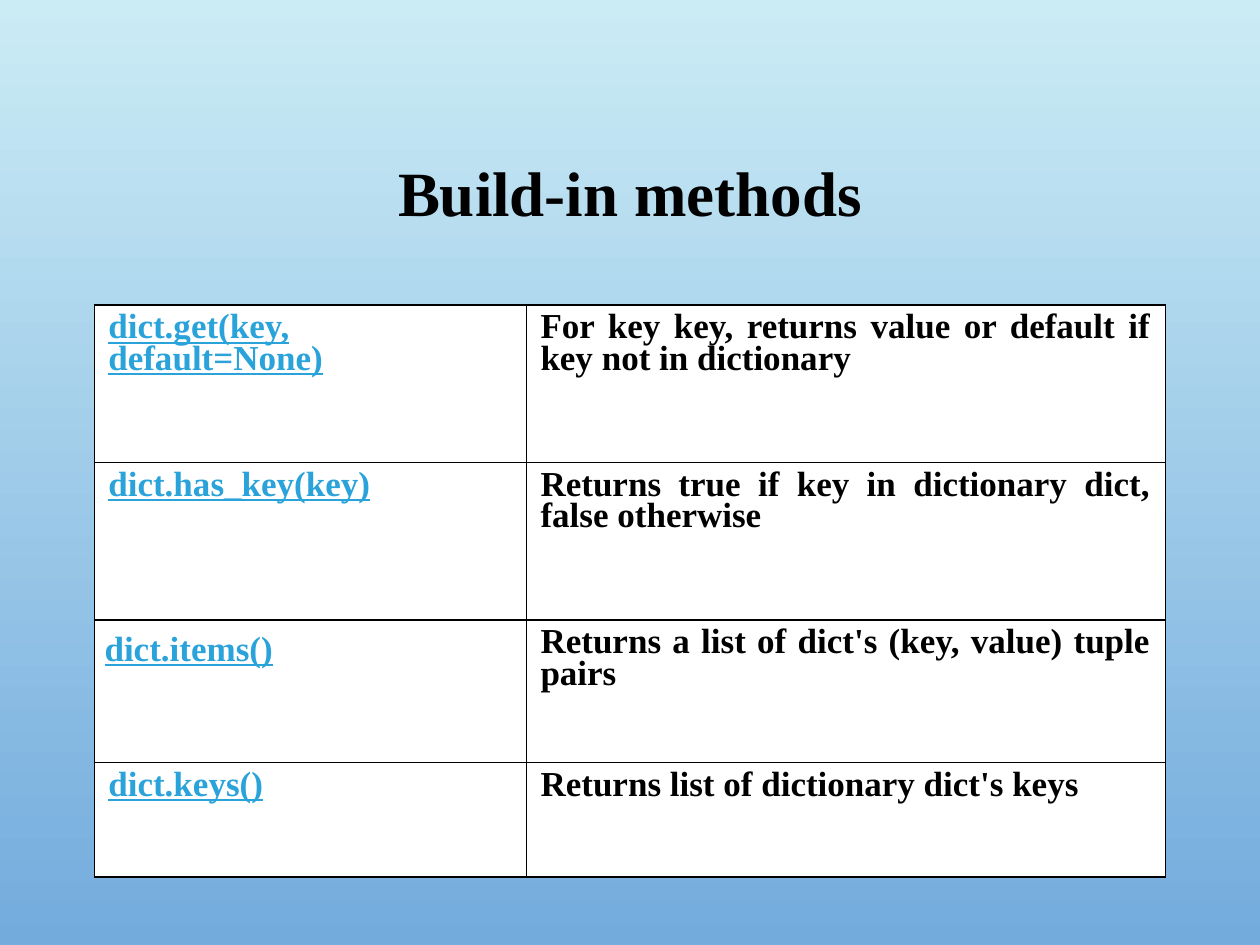
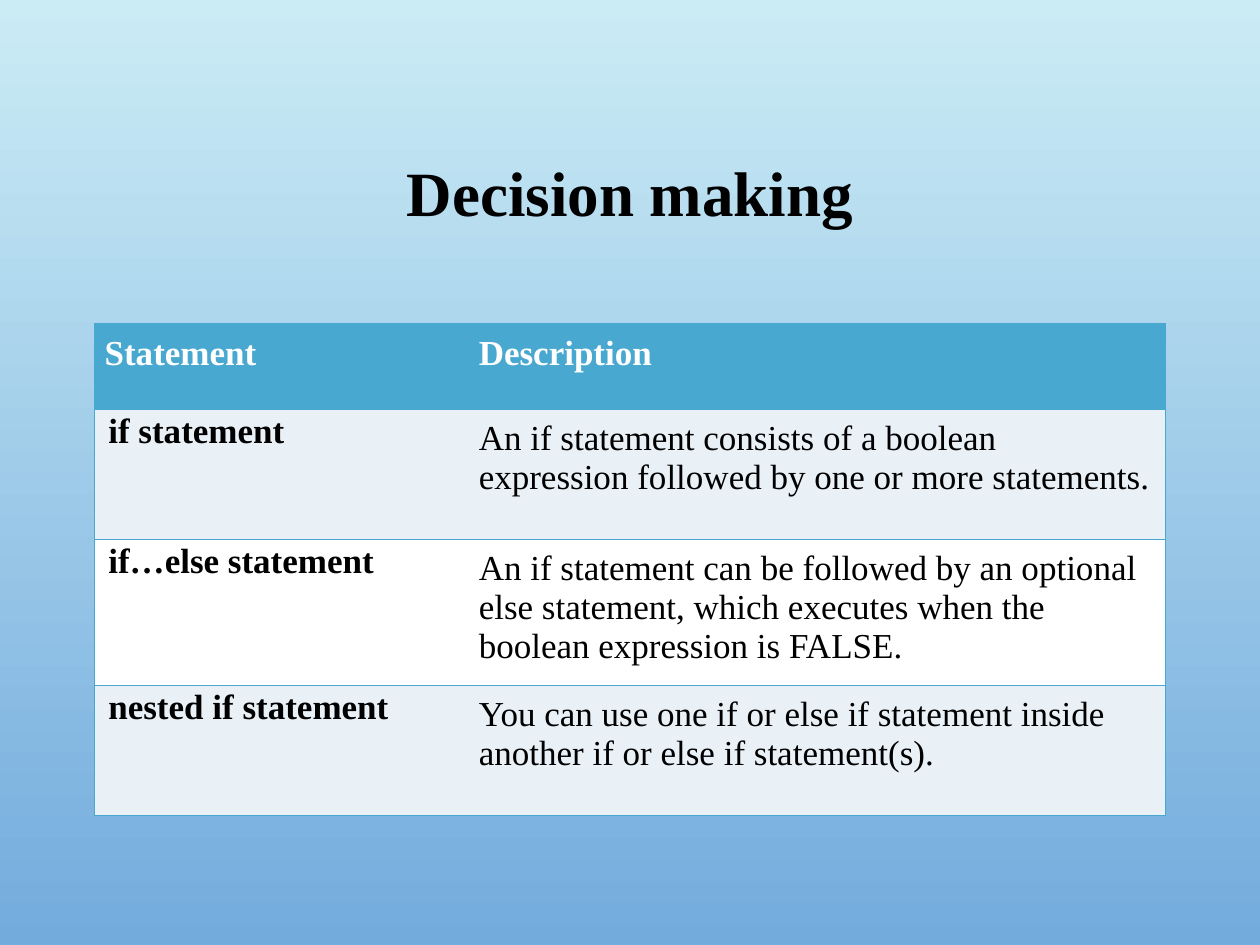
from dataclasses import dataclass

from lxml import etree
from pptx import Presentation
from pptx.dml.color import RGBColor
from pptx.enum.text import MSO_ANCHOR, PP_ALIGN
from pptx.oxml.ns import qn
from pptx.util import Inches, Pt

CENTER, JUSTIFY = PP_ALIGN.CENTER, PP_ALIGN.JUSTIFY
MIDDLE = MSO_ANCHOR.MIDDLE
BLANK_LAYOUT = 6
NO_TABLE_STYLE = "{2D5ABB26-0587-4C30-8999-92F81FD0307C}"


@dataclass(frozen=True)
class Theme:
    font: str = "Times New Roman"
    title_size: int = 36
    cell_size: int = 20
    sky_top: str = "CBECF5"
    sky_bottom: str = "73ABDD"
    black: str = "000000"
    white: str = "FFFFFF"
    link: str = "2AA2DA"
    header: str = "48A8D0"
    band: str = "E9F1F7"


THEME = Theme()


def add_run(paragraph, text, size, color, bold=True, underline=False):
    run = paragraph.add_run()
    run.text = text
    run.font.name = THEME.font
    run.font.size = Pt(size)
    run.font.bold = bold
    run.font.underline = underline
    run.font.color.rgb = RGBColor.from_string(color)


def style_cell(cell, fill, border, sides):
    """Set margins, one-point borders on the given sides (L, R, T, B) and fill."""
    cell.margin_left = cell.margin_right = Inches(0.08)
    cell.margin_top = cell.margin_bottom = Inches(0.08)
    properties = cell._tc.get_or_add_tcPr()
    for side in sides:
        line = etree.SubElement(properties, qn(f"a:ln{side}"), w=str(Pt(1)))
        solid = etree.SubElement(line, qn("a:solidFill"))
        etree.SubElement(solid, qn("a:srgbClr"), val=border)
    cell.fill.solid()
    cell.fill.fore_color.rgb = RGBColor.from_string(fill)


METHODS = [
    ("dict.get(key, default=None)",
     "For key key, returns value or default if key not in dictionary "),
    ("dict.has_key(key)",
     "Returns true if key in dictionary dict, false otherwise"),
    ("dict.items()", "Returns a list of dict's (key, value) tuple pairs"),
    ("dict.keys()", "Returns list of dictionary dict's keys"),
]
STATEMENTS = [
    ("Statement", "Description"),
    ("if statement",
     "An if statement consists of a boolean expression followed by one or more statements."),
    ("if…else statement",
     "An if statement can be followed by an optional else statement, "
     "which executes when the boolean expression is FALSE."),
    ("nested if statement",
     "You can use one if or else if statement inside another if or else if statement(s)."),
]
SLIDES = [
    dict(title="Build-in methods", rows=METHODS, top=2.42, widths=[3.43, 5.07],
         heights=[1.25, 1.25, 1.13, 0.91], has_header=False),
    dict(title="Decision making", rows=STATEMENTS, top=2.57, widths=[2.97, 5.53],
         heights=[0.68, 1.03, 1.03, 1.03], has_header=True),
]

presentation = Presentation()
presentation.slide_width = Inches(10)
presentation.slide_height = Inches(7.5)

for content in SLIDES:
    slide = presentation.slides.add_slide(presentation.slide_layouts[BLANK_LAYOUT])
    background = slide.background.fill
    background.gradient()
    background.gradient_angle = 270
    for stop, position, color in zip(background.gradient_stops, (0, 1),
                                     (THEME.sky_top, THEME.sky_bottom)):
        stop.position = position
        stop.color.rgb = RGBColor.from_string(color)

    title_box = slide.shapes.add_textbox(Inches(0.75), Inches(0.68), Inches(8.5), Inches(1.75))
    title_box.text_frame.word_wrap = True
    title_box.text_frame.vertical_anchor = MIDDLE
    title = title_box.text_frame.paragraphs[0]
    title.alignment = CENTER
    title.line_spacing = 0.9
    add_run(title, content["title"], THEME.title_size, THEME.black)

    heights, widths = content["heights"], content["widths"]
    table = slide.shapes.add_table(
        len(heights), len(widths), Inches(0.75), Inches(content["top"]),
        Inches(sum(widths)), Inches(sum(heights))).table
    table.first_row = content["has_header"]
    table.horz_banding = False
    table._tbl.tblPr.find(qn("a:tableStyleId")).text = NO_TABLE_STYLE
    for column, width in zip(table.columns, widths):
        column.width = Inches(width)
    for row, height in zip(table.rows, heights):
        row.height = Inches(height)

    for row_index, texts in enumerate(content["rows"]):
        for column_index, text in enumerate(texts):
            first_column = column_index == 0
            cell = table.cell(row_index, column_index)
            paragraph = cell.text_frame.paragraphs[0]
            color, bold, underline = THEME.black, True, False
            if content["has_header"]:
                is_header = row_index == 0
                fill = THEME.band if row_index % 2 else THEME.white
                justified = first_column and not is_header
                bold = first_column or is_header
                if is_header:
                    fill, color = THEME.header, THEME.white
                    paragraph.space_after = Pt(15)
                elif row_index == len(texts) + 1:
                    fill = THEME.band
                border, sides = THEME.header, "LTB" if first_column else "RTB"
            else:
                fill, border, sides = THEME.white, THEME.black, "LRTB"
                justified = text != "dict.items()"
                if first_column:
                    color, underline = THEME.link, True
            style_cell(cell, fill, border, sides)
            if justified:
                paragraph.alignment = JUSTIFY
                paragraph.line_spacing = Pt(18)
                paragraph.space_after = Pt(12)
                indents = paragraph._p.get_or_add_pPr()
                indents.set("marL", str(Inches(0.03)))
                indents.set("marR", str(Inches(0.04)))
            add_run(paragraph, text, THEME.cell_size, color, bold, underline)

presentation.save("out.pptx")
